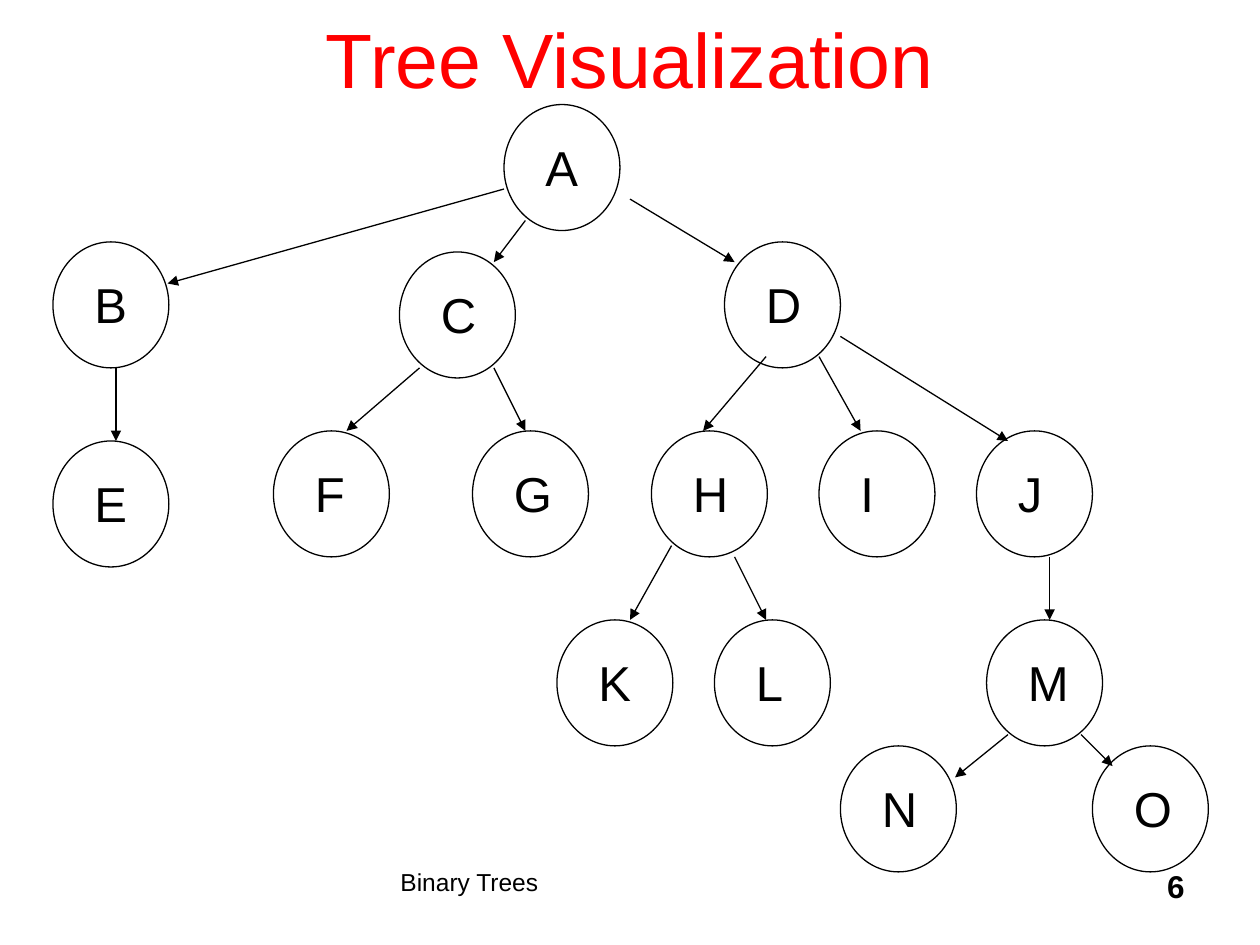
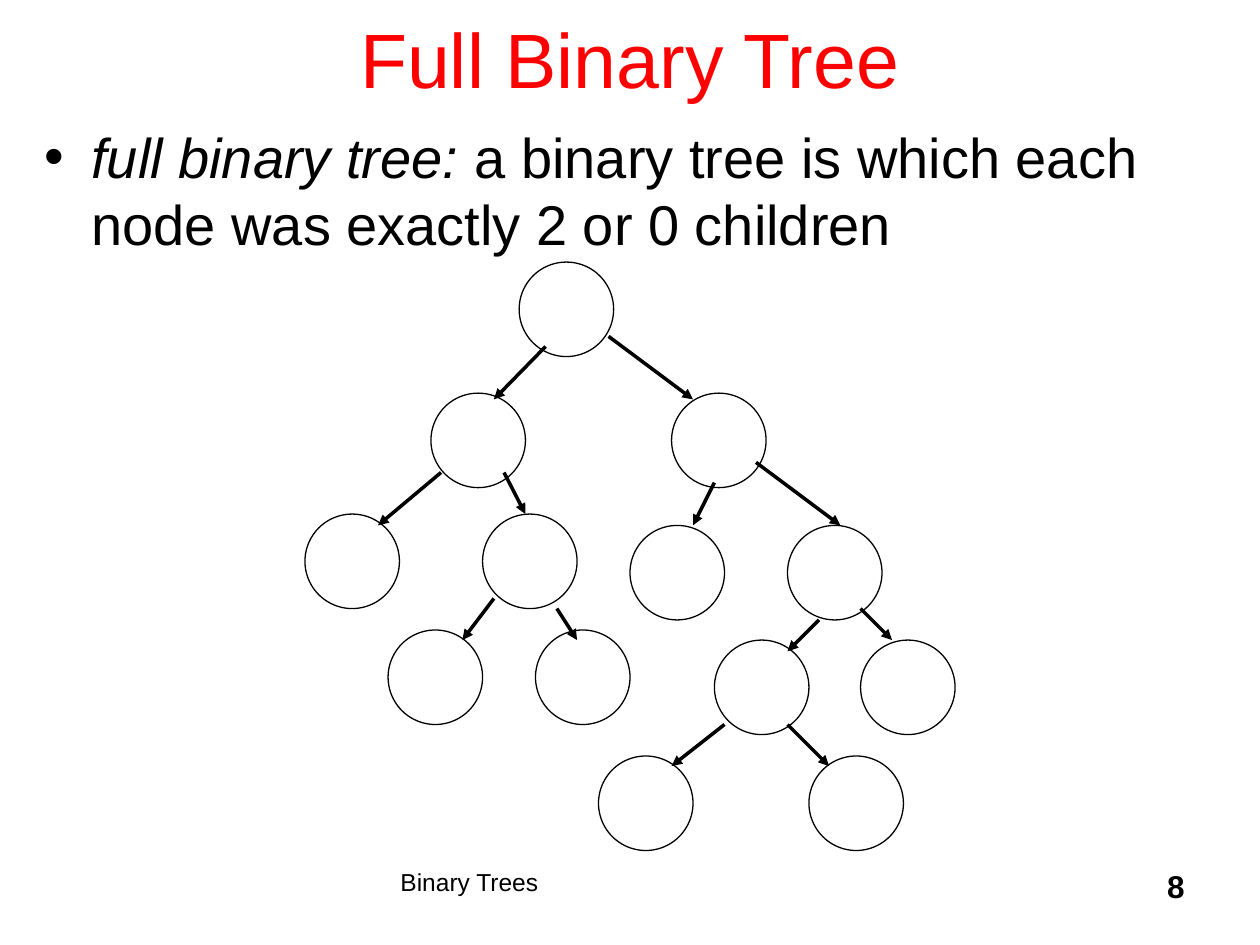
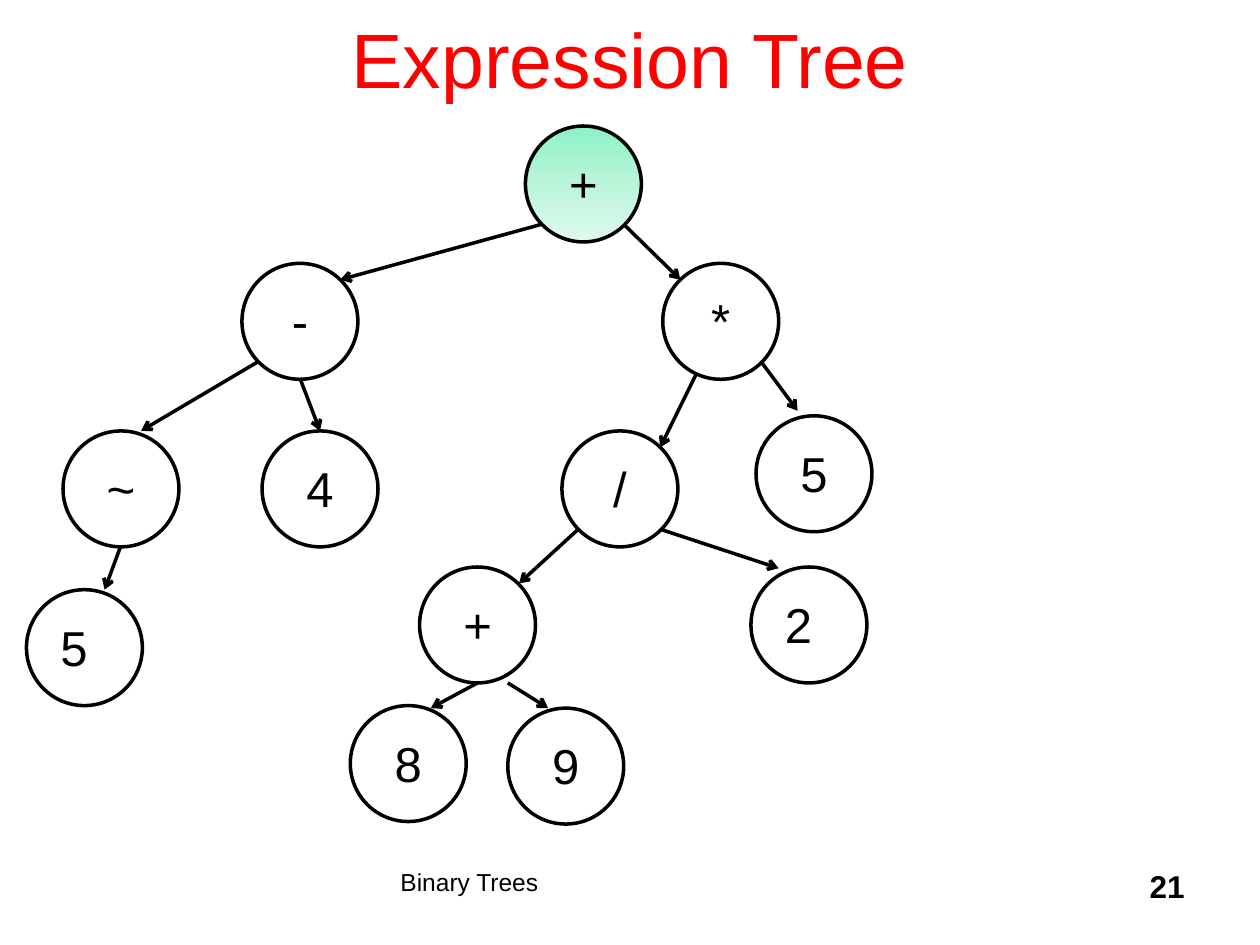
"""Build three slides about binary trees."""
from copy import deepcopy
from dataclasses import dataclass

from lxml.etree import SubElement
from pptx import Presentation
from pptx.dml.color import RGBColor
from pptx.enum.shapes import MSO_CONNECTOR, MSO_SHAPE
from pptx.enum.text import MSO_ANCHOR, MSO_AUTO_SIZE, PP_ALIGN
from pptx.oxml.ns import qn
from pptx.util import Cm, Pt

COLOURS = {
    "title": "FF0000",
    "ink": "000000",
    "root_top": "8CF2C6",
    "root_middle": "BAF5DA",
    "root_bottom": "DEF9EC",
}
FONT = "Arial"
TITLE_ONLY, TITLE_AND_BODY = 5, 1
TITLE_BOX = (0.75, -0.17, 8.5, 1.25)
BODY_BOX = (0.25, 0.92, 9.5, 6)
FOOTER_BOX = (3.08, 6.83, 3.83, 0.5)
NUMBER_BOX = (7.42, 6.83, 2.08, 0.5)
LABEL_WIDTHS = {"I": 0.31, "J": 0.4, "L": 0.42, "F": 0.44, "A": 0.46, "B": 0.46, "E": 0.46,
                "K": 0.46, "C": 0.48, "D": 0.48, "H": 0.48, "N": 0.48, "G": 0.5, "O": 0.5,
                "M": 0.53}


@dataclass(frozen=True)
class Node:
    left: float
    top: float
    label: str = ""
    align: PP_ALIGN = PP_ALIGN.CENTER
    gradient: bool = False


@dataclass(frozen=True)
class Arrow:
    start_x: float
    start_y: float
    end_x: float
    end_y: float


@dataclass(frozen=True)
class TreeStyle:
    width: float
    height: float
    outline: float
    arrow_width: float
    arrowhead: str = "triangle"
    label_inset: float = 0.17
    fitted_labels: bool = False


@dataclass(frozen=True)
class Tree:
    style: TreeStyle
    nodes: list[Node]
    arrows: list[Arrow]


def length(inches: float) -> Cm:
    """Turn inches into a length in centimetres."""
    return Cm(inches * 2.54)


def lengths(*inches: float) -> list[Cm]:
    """Turn several inch values into lengths."""
    return [length(value) for value in inches]


def colour(name: str) -> RGBColor:
    """Look up a palette colour."""
    return RGBColor.from_string(COLOURS[name])


def write(paragraph, text: str, *, size: float, ink: str = "ink", bold: bool = False,
          italic: bool = False, align: PP_ALIGN = PP_ALIGN.LEFT, before: float = 0) -> None:
    """Append a formatted run to a paragraph."""
    paragraph.alignment = align
    paragraph.space_before = Pt(before)
    run = paragraph.add_run()
    run.text = text
    run.font.name = FONT
    run.font.size = Pt(size)
    run.font.bold = bold
    run.font.italic = italic
    run.font.color.rgb = colour(ink)


def add_text(shapes, box: tuple, text: str, *, wrap: bool = True, grow: bool = False,
             **text_format) -> None:
    """Add a text box holding one formatted paragraph."""
    frame = shapes.add_textbox(*lengths(*box)).text_frame
    frame.word_wrap = wrap
    frame.auto_size = MSO_AUTO_SIZE.SHAPE_TO_FIT_TEXT if grow else MSO_AUTO_SIZE.NONE
    write(frame.paragraphs[0], text, **text_format)


def place(shape, box: tuple) -> None:
    """Move and size a placeholder."""
    shape.left, shape.top, shape.width, shape.height = lengths(*box)
    shape.text_frame.auto_size = MSO_AUTO_SIZE.NONE


def fill_gradient(shape) -> None:
    """Fill a shape with the vertical root gradient."""
    shape.fill.gradient()
    shape.fill.gradient_angle = 270
    stop_list = shape.element.find(f".//{qn('a:gsLst')}")
    stop_list.insert(1, deepcopy(stop_list[0]))
    names = ("root_top", "root_middle", "root_bottom")
    for index, (stop, name) in enumerate(zip(shape.fill.gradient_stops, names)):
        stop.position = index / 2
        stop.color.rgb = colour(name)


def add_node(slide, node: Node, style: TreeStyle) -> None:
    """Draw one tree node and its label."""
    shapes = slide.shapes.add_group_shape().shapes if style.fitted_labels else slide.shapes
    ellipse = shapes.add_shape(
        MSO_SHAPE.OVAL, *lengths(node.left, node.top, style.width, style.height))
    ellipse.shadow.inherit = False
    ellipse.line.color.rgb = colour("ink")
    ellipse.line.width = Pt(style.outline)
    if node.gradient:
        fill_gradient(ellipse)
    else:
        ellipse.fill.background()
    if node.label:
        width = LABEL_WIDTHS[node.label] if style.fitted_labels else 0.58
        box = (node.left + style.label_inset, node.top + min(style.label_inset, 0.21), width, 0.57)
        align = PP_ALIGN.LEFT if style.fitted_labels else node.align
        add_text(shapes, box, node.label, wrap=not style.fitted_labels, grow=True,
                 size=28, align=align, before=3)


def add_arrow(slide, arrow: Arrow, style: TreeStyle) -> None:
    """Draw one arrow from a parent to a child."""
    connector = slide.shapes.add_connector(
        MSO_CONNECTOR.STRAIGHT,
        *lengths(arrow.start_x, arrow.start_y, arrow.end_x, arrow.end_y))
    connector.line.color.rgb = colour("ink")
    connector.line.width = Pt(style.arrow_width)
    properties = connector.element.find(qn("p:spPr"))
    SubElement(properties.find(qn("a:ln")), qn("a:tailEnd"), type=style.arrowhead)
    SubElement(properties, qn("a:effectLst"))


def add_tree_slide(presentation, title: str, number: int, tree: Tree,
                   layout: int = TITLE_ONLY):
    """Add a slide with its title, tree, footer and number."""
    slide = presentation.slides.add_slide(presentation.slide_layouts[layout])
    heading = slide.shapes.title
    place(heading, TITLE_BOX)
    heading.text_frame.vertical_anchor = MSO_ANCHOR.MIDDLE
    write(heading.text_frame.paragraphs[0], title, size=44, ink="title", align=PP_ALIGN.CENTER)
    for node in tree.nodes:
        add_node(slide, node, tree.style)
    for arrow in tree.arrows:
        add_arrow(slide, arrow, tree.style)
    add_text(slide.shapes, FOOTER_BOX, "Binary Trees", size=14)
    add_text(slide.shapes, NUMBER_BOX, str(number), size=18, bold=True, align=PP_ALIGN.RIGHT)
    return slide


LETTER_TREE = Tree(
    TreeStyle(0.92, 1, 0.75, 0.75, label_inset=0.23, fitted_labels=True),
    [
        Node(4, 0.83, "A"),
        Node(0.42, 1.92, "B"), Node(3.17, 2, "C"), Node(5.75, 1.92, "D"),
        Node(0.42, 3.5, "E"), Node(2.17, 3.42, "F"), Node(3.75, 3.42, "G"),
        Node(5.17, 3.42, "H"), Node(6.5, 3.42, "I"), Node(7.75, 3.42, "J"),
        Node(4.42, 4.92, "K"), Node(5.67, 4.92, "L"), Node(7.83, 4.92, "M"),
        Node(6.67, 5.92, "N"), Node(8.67, 5.92, "O"),
    ],
    [
        Arrow(4, 1.5, 1.33, 2.25), Arrow(4.17, 1.75, 3.92, 2.08), Arrow(5, 1.58, 5.83, 2.08),
        Arrow(0.92, 2.92, 0.92, 3.5),
        Arrow(3.33, 2.92, 2.75, 3.42), Arrow(3.92, 2.92, 4.17, 3.42),
        Arrow(6.08, 2.83, 5.58, 3.42), Arrow(6.5, 2.83, 6.83, 3.42), Arrow(6.67, 2.67, 8, 3.5),
        Arrow(5.33, 4.33, 5, 4.92), Arrow(5.83, 4.42, 6.08, 4.92),
        Arrow(8.33, 4.42, 8.33, 4.92),
        Arrow(8, 5.83, 7.58, 6.17), Arrow(8.58, 5.83, 8.83, 6.08),
    ],
)

FULL_TREE = Tree(
    TreeStyle(0.75, 0.75, 0.75, 2),
    [
        Node(4.12, 2.08),
        Node(3.42, 3.12), Node(5.33, 3.12),
        Node(2.42, 4.08), Node(3.83, 4.08), Node(5, 4.17), Node(6.25, 4.17),
        Node(3.08, 5), Node(4.25, 5), Node(5.67, 5.08), Node(6.83, 5.08),
        Node(4.75, 6), Node(6.42, 6),
    ],
    [
        Arrow(4.33, 2.75, 3.92, 3.17), Arrow(4.83, 2.67, 5.5, 3.17),
        Arrow(3.5, 3.75, 3, 4.17), Arrow(4, 3.75, 4.17, 4.08),
        Arrow(5.67, 3.83, 5.5, 4.17), Arrow(6, 3.67, 6.67, 4.17),
        Arrow(3.92, 4.75, 3.67, 5.08), Arrow(4.42, 4.83, 4.58, 5.08),
        Arrow(6.5, 4.92, 6.25, 5.17), Arrow(6.83, 4.83, 7.08, 5.08),
        Arrow(5.75, 5.75, 5.33, 6.08), Arrow(6.25, 5.75, 6.58, 6.08),
    ],
)

EXPRESSION_TREE = Tree(
    TreeStyle(0.92, 0.92, 2, 2, arrowhead="arrow"),
    [
        Node(4.17, 1, "+", gradient=True),
        Node(1.92, 2.09, "-"), Node(5.26, 2.09, "*"),
        Node(0.5, 3.42, "~"), Node(2.08, 3.42, "4"), Node(4.46, 3.42, "/"), Node(6, 3.3, "5"),
        Node(3.33, 4.5, "+"), Node(5.96, 4.5, "2", PP_ALIGN.LEFT),
        Node(0.21, 4.68, "5", PP_ALIGN.LEFT),
        Node(2.78, 5.6, "8"), Node(4.03, 5.62, "9"),
    ],
    [
        Arrow(4.3, 1.78, 2.7, 2.22), Arrow(4.95, 1.78, 5.4, 2.22),
        Arrow(2.05, 2.87, 1.12, 3.42), Arrow(2.38, 3, 2.54, 3.42),
        Arrow(5.53, 2.96, 5.24, 3.55), Arrow(6.04, 2.87, 6.33, 3.26),
        Arrow(0.96, 4.33, 0.83, 4.68),
        Arrow(4.59, 4.2, 4.12, 4.63), Arrow(5.24, 4.2, 6.18, 4.51),
        Arrow(3.79, 5.42, 3.42, 5.62), Arrow(4.03, 5.42, 4.35, 5.62),
    ],
)


def main() -> None:
    """Build and save the presentation."""
    presentation = Presentation()
    presentation.slide_width, presentation.slide_height = lengths(10, 7.5)

    add_tree_slide(presentation, "Tree Visualization", 6, LETTER_TREE)

    slide = add_tree_slide(presentation, "Full Binary Tree", 8, FULL_TREE, TITLE_AND_BODY)
    body = slide.placeholders[1]
    place(body, BODY_BOX)
    definition = body.text_frame.paragraphs[0]
    write(definition, "full binary tree:", size=32, italic=True, before=3)
    write(definition, " a binary tree is which each node was exactly 2 or 0 children",
          size=32, before=3)

    add_tree_slide(presentation, "Expression Tree", 21, EXPRESSION_TREE)
    presentation.save("out.pptx")


if __name__ == "__main__":
    main()
